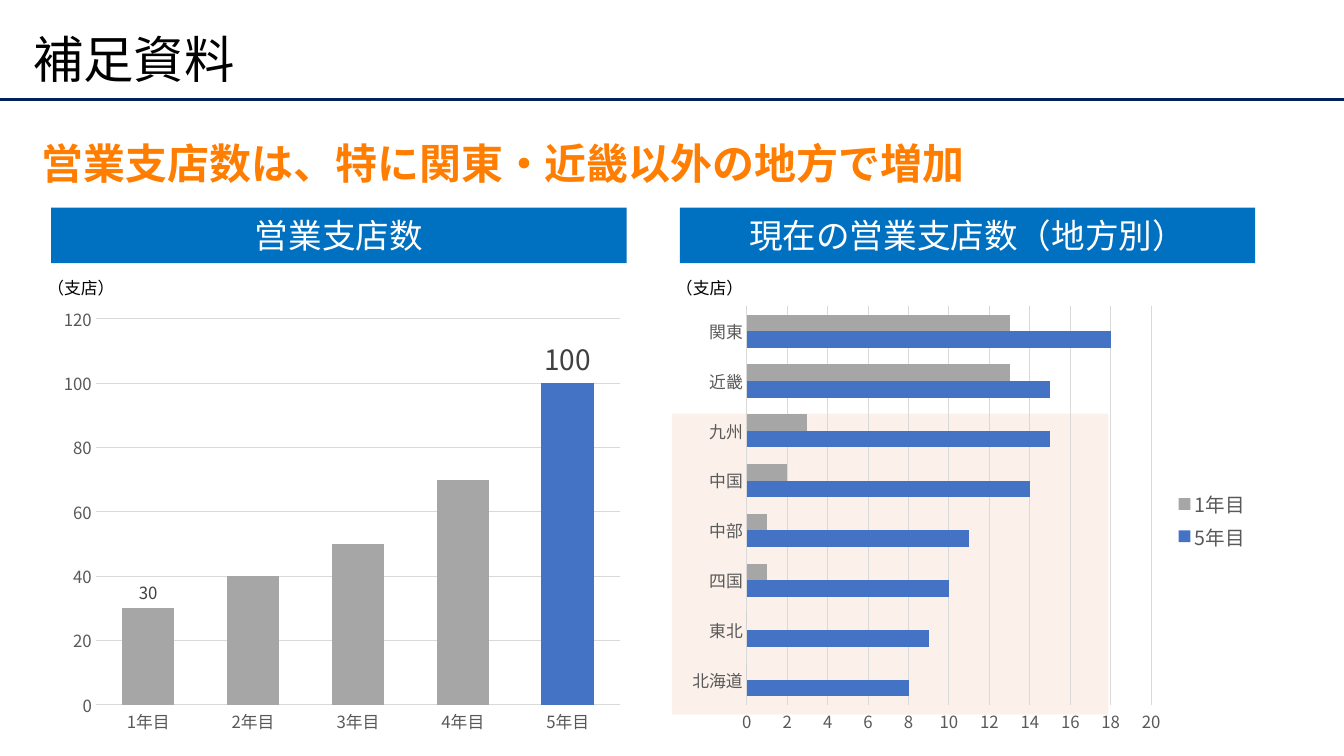
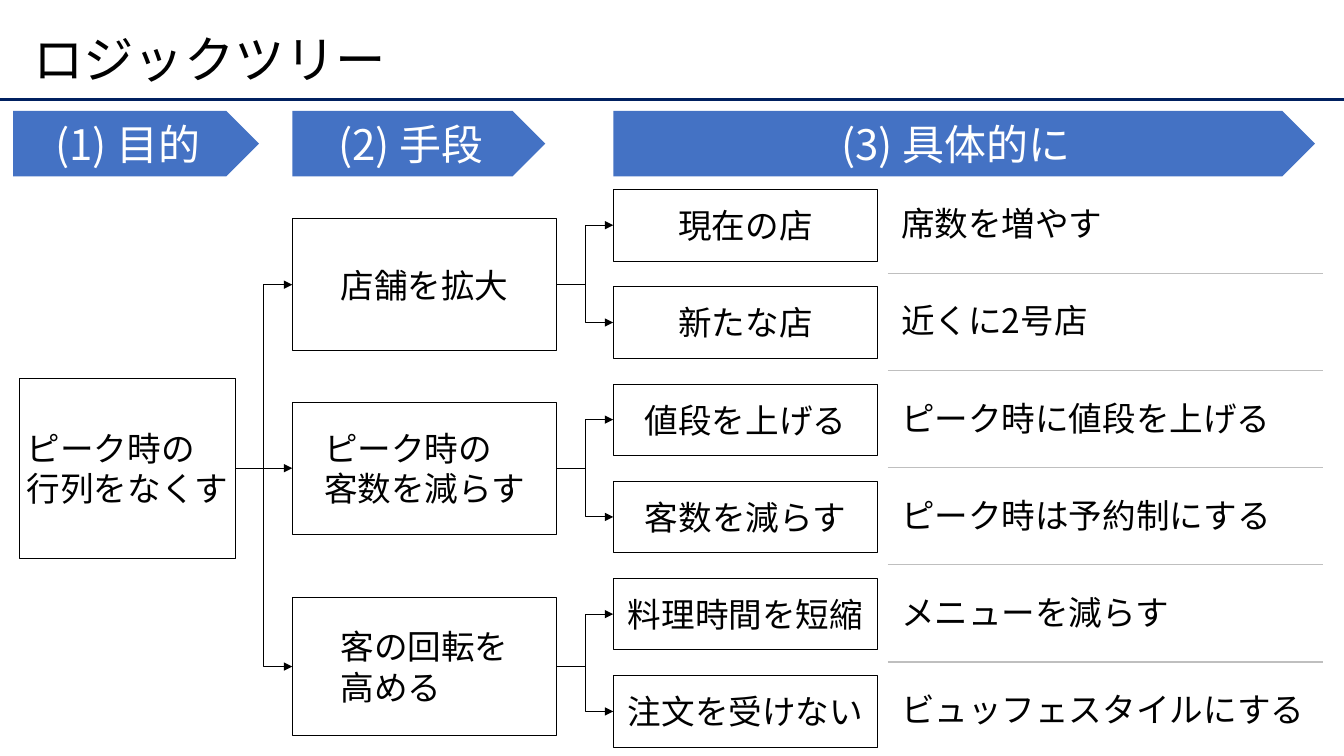
from dataclasses import dataclass, field
from typing import Optional

from lxml import etree
from pptx import Presentation
from pptx import util as u
from pptx.chart import data as chart_data
from pptx.dml import color
from pptx.enum import chart as charts, shapes, text
from pptx.oxml import ns


@dataclass(frozen=True)
class Theme:
    font: str = "Noto Sans CJK JP"
    ink: str = "000000"
    paper: str = "FFFFFF"
    navy: str = "002060"
    band: str = "0070C0"
    blue: str = "4472C4"
    gray: str = "A6A6A6"
    accent: str = "FF7D00"
    highlight: str = "FBE5D6"
    axis: str = "595959"
    label: str = "404040"
    grid: str = "D9D9D9"
    divider: str = "BFBFBF"
    title_size: int = 36
    message_size: int = 30
    body_size: int = 24
    value_size: int = 20
    legend_size: int = 14
    small_size: int = 12


@dataclass(frozen=True)
class Box:
    left: float
    top: float
    width: float
    height: float


@dataclass(frozen=True)
class Series:
    name: str
    values: tuple
    fill: str
    point_fills: dict = field(default_factory=dict)
    label_sizes: dict = field(default_factory=dict)


@dataclass(frozen=True)
class Panel:
    heading: str
    kind: charts.XL_CHART_TYPE
    categories: tuple
    series: tuple
    maximum: int
    step: int
    overlap: int
    legend: bool


@dataclass(frozen=True)
class Measure:
    lines: tuple
    top: float
    height: float
    details: tuple


THEME = Theme()
PANEL_LEFT, PANEL_PITCH = 37, 449
DETAIL_TOP, DETAIL_PITCH = 135.4, 69.45
MEANS_LEFT, DETAIL_LEFT, BOX_WIDTH = 208.8, 438, 189

PANELS = (
    Panel("営業支店数", charts.XL_CHART_TYPE.COLUMN_CLUSTERED,
          ("1年目", "2年目", "3年目", "4年目", "5年目"),
          (Series("営業支店数", (30, 40, 50, 70, 100), THEME.gray, {4: THEME.blue},
                  {0: THEME.small_size, 4: THEME.value_size}),),
          120, 20, -27, False),
    Panel("現在の営業支店数（地方別）", charts.XL_CHART_TYPE.BAR_CLUSTERED,
          ("北海道", "東北", "四国", "中部", "中国", "九州", "近畿", "関東"),
          (Series("5年目", (8, 9, 10, 11, 14, 15, 15, 18), THEME.blue),
           Series("1年目", (0, 0, 1, 1, 2, 3, 13, 13), THEME.gray)),
          20, 2, 0, True),
)
STAGES = (
    ("(1) 目的", 9.4, 175.7),
    ("(2) 手段", 208.8, 180.7),
    ("(3) 具体的に", 438.2, 501.1),
)
GOAL = ("ピーク時の", "行列をなくす")
MEASURES = (
    Measure(("店舗を拡大",), 156.2, 94.3,
            (("現在の店", "席数を増やす"), ("新たな店", "近くに2号店"))),
    Measure(("ピーク時の", "客数を減らす"), 287.3, 94.3,
            (("値段を上げる", "ピーク時に値段を上げる"),
             ("客数を減らす", "ピーク時は予約制にする"))),
    Measure(("客の回転を", "高める"), 426.8, 98.6,
            (("料理時間を短縮", "メニューを減らす"),
             ("注文を受けない", "ビュッフェスタイルにする"))),
)


def rgb(value: str) -> color.RGBColor:
    return color.RGBColor.from_string(value)


def style_font(font, size: float, ink: str, bold: bool = False) -> None:
    font.size = u.Pt(size)
    font.bold = bold
    font.color.rgb = rgb(ink)
    font.name = THEME.font
    etree.SubElement(font._rPr, ns.qn("a:ea")).set("typeface", THEME.font)


def write(frame, lines: tuple, size: float, ink: str, bold: bool = False,
          align=text.PP_ALIGN.LEFT, spacing: float = 1.0) -> None:
    for index, line in enumerate(lines):
        paragraph = frame.add_paragraph() if index else frame.paragraphs[0]
        paragraph.alignment = align
        paragraph.line_spacing = spacing
        run = paragraph.add_run()
        run.text = line
        style_font(run.font, size, ink, bold)


def add_text(slide, box: Box, line: str, size: float, ink: str = THEME.ink,
             bold: bool = False, spacing: float = 1.0,
             anchor=text.MSO_ANCHOR.TOP) -> None:
    frame = slide.shapes.add_textbox(
        u.Pt(box.left), u.Pt(box.top), u.Pt(box.width), u.Pt(box.height)).text_frame
    frame.word_wrap = True
    frame.vertical_anchor = anchor
    write(frame, (line,), size, ink, bold, spacing=spacing)


def add_block(slide, box: Box, fill: str, line: Optional[str] = None,
              preset=shapes.MSO_SHAPE.RECTANGLE):
    block = slide.shapes.add_shape(
        preset, u.Pt(box.left), u.Pt(box.top), u.Pt(box.width), u.Pt(box.height))
    block.shadow.inherit = False
    block.fill.solid()
    block.fill.fore_color.rgb = rgb(fill)
    if line:
        block.line.color.rgb = rgb(line)
        block.line.width = u.Pt(0.5)
    else:
        block.line.fill.background()
    return block


def add_banner(slide, box: Box, caption: str, fill: str, size: float,
               preset=shapes.MSO_SHAPE.RECTANGLE) -> None:
    banner = add_block(slide, box, fill, preset=preset)
    write(banner.text_frame, (caption,), size, THEME.paper, align=text.PP_ALIGN.CENTER)


def add_node(slide, box: Box, lines: tuple):
    node = add_block(slide, box, THEME.paper, THEME.ink)
    frame = node.text_frame
    frame.margin_left = frame.margin_right = u.Pt(3.6)
    frame.margin_top = frame.margin_bottom = u.Pt(5)
    frame.word_wrap = False
    frame._txBody.bodyPr.set("anchorCtr", "1")
    write(frame, lines, THEME.body_size, THEME.ink)
    return node


def add_line(slide, start: tuple, end: tuple, ink: str, width: float,
             kind=shapes.MSO_CONNECTOR.STRAIGHT):
    line = slide.shapes.add_connector(kind, *(u.Pt(value) for value in start + end))
    line.line.color.rgb = rgb(ink)
    line.line.width = u.Pt(width)
    etree.SubElement(line._element.spPr, ns.qn("a:effectLst"))
    return line


def link(slide, parent, child, kind=shapes.MSO_CONNECTOR.ELBOW) -> None:
    arrow = add_line(slide, (0, 0), (0, 0), THEME.ink, 0.75, kind)
    arrow.begin_connect(parent, 3)
    arrow.end_connect(child, 1)
    tail = etree.Element(ns.qn("a:tailEnd"))
    tail.set("type", "triangle")
    arrow.line._get_or_add_ln().append(tail)


def clear_background(chart) -> None:
    area = chart._chartSpace.find(ns.qn("c:chart"))
    for place in (area.addnext, area.find(ns.qn("c:plotArea")).append):
        properties = etree.Element(ns.qn("c:spPr"))
        etree.SubElement(properties, ns.qn("a:noFill"))
        border = etree.SubElement(properties, ns.qn("a:ln"))
        etree.SubElement(border, ns.qn("a:noFill"))
        place(properties)


def style_axes(chart, panel: Panel) -> None:
    for axis in (chart.category_axis, chart.value_axis):
        axis.major_tick_mark = axis.minor_tick_mark = charts.XL_TICK_MARK.NONE
        style_font(axis.tick_labels.font, THEME.small_size, THEME.axis)
    counts = chart.value_axis
    counts.minimum_scale, counts.maximum_scale = 0, panel.maximum
    counts.major_unit = panel.step
    counts.tick_labels.number_format = "#,##0"
    counts.tick_labels.number_format_is_linked = False
    counts.format.line.fill.background()
    for line in (counts.major_gridlines.format.line, chart.category_axis.format.line):
        line.color.rgb = rgb(THEME.grid)
        line.width = u.Pt(0.75)


def style_series(drawn, series: Series) -> None:
    drawn.invert_if_negative = False
    drawn.format.fill.solid()
    drawn.format.fill.fore_color.rgb = rgb(series.fill)
    for index, fill in series.point_fills.items():
        point_fill = drawn.points[index].format.fill
        point_fill.solid()
        point_fill.fore_color.rgb = rgb(fill)
    if series.label_sizes:
        drawn.data_labels.show_value = False
    for index, size in series.label_sizes.items():
        label = drawn.points[index].data_label
        style_font(label.font, size, THEME.label)
        label.position = charts.XL_LABEL_POSITION.OUTSIDE_END


def add_panel(slide, panel: Panel, left: float) -> None:
    figures = chart_data.CategoryChartData()
    figures.categories = panel.categories
    for series in panel.series:
        figures.add_series(series.name, series.values)
    chart = slide.shapes.add_chart(
        panel.kind, u.Pt(left + 0.3), u.Pt(212.4), u.Pt(414), u.Pt(318.2), figures).chart
    style_font(chart.font, 10, THEME.ink)
    chart.has_title = False
    chart.has_legend = panel.legend
    if panel.legend:
        chart.legend.position = charts.XL_LEGEND_POSITION.RIGHT
        chart.legend.include_in_layout = False
        style_font(chart.legend.font, THEME.legend_size, THEME.axis)
    plot = chart.plots[0]
    plot.gap_width, plot.overlap = 100, panel.overlap
    plot.vary_by_categories = False
    style_axes(chart, panel)
    for drawn, series in zip(plot.series, panel.series):
        style_series(drawn, series)
    clear_background(chart)
    add_banner(slide, Box(left - 0.4, 148.3, 411, 39.6), panel.heading,
               THEME.band, THEME.body_size)
    add_text(slide, Box(left - 10.2, 195.1, 80, 21.6), "（支店）", THEME.small_size)


def add_page(deck, title: str):
    slide = deck.slides.add_slide(deck.slide_layouts[6])
    add_line(slide, (0, 71.3), (960, 71.3), THEME.navy, 2.25)
    add_text(slide, Box(16.6, 14.4, 907.2, 60.5), title, THEME.title_size,
             spacing=0.9, anchor=text.MSO_ANCHOR.MIDDLE)
    return slide


def build_branches(deck) -> None:
    slide = add_page(deck, "補足資料")
    growth = add_block(slide, Box(480, 295.4, 311.8, 215), THEME.highlight)
    tint = growth.fill._xPr.find(ns.qn("a:solidFill"))[0]
    etree.SubElement(tint, ns.qn("a:alpha")).set("val", "50000")
    for index, panel in enumerate(PANELS):
        add_panel(slide, panel, PANEL_LEFT + index * PANEL_PITCH)
    add_text(slide, Box(22.3, 77, 901.4, 56.9), "営業支店数は、特に関東・近畿以外の地方で増加",
             THEME.message_size, THEME.accent, bold=True, spacing=1.5)


def build_tree(deck) -> None:
    slide = add_page(deck, "ロジックツリー")
    for caption, left, width in STAGES:
        add_banner(slide, Box(left, 79.2, width, 46.8), caption, THEME.blue,
                   THEME.message_size, shapes.MSO_SHAPE.PENTAGON)
    goal = add_node(slide, Box(13.9, 270, 154.4, 128.9), GOAL)
    row = 0
    for measure in MEASURES:
        means = add_node(
            slide, Box(MEANS_LEFT, measure.top, BOX_WIDTH, measure.height), measure.lines)
        level = abs(means.top + means.height / 2 - goal.top - goal.height / 2) < u.Pt(1)
        link(slide, goal, means,
             shapes.MSO_CONNECTOR.STRAIGHT if level else shapes.MSO_CONNECTOR.ELBOW)
        for detail, action in measure.details:
            top = DETAIL_TOP + row * DETAIL_PITCH
            if row:
                add_line(slide, (634.3, top - 9.8), (944.7, top - 9.8), THEME.divider, 0.75)
            link(slide, means,
                 add_node(slide, Box(DETAIL_LEFT, top, BOX_WIDTH, 51), (detail,)))
            add_text(slide, Box(636.5, top + 6.2, 310.3, 36), action, THEME.body_size)
            row += 1


def main() -> None:
    deck = Presentation()
    deck.slide_width, deck.slide_height = u.Pt(960), u.Pt(540)
    build_branches(deck)
    build_tree(deck)
    deck.save("out.pptx")


if __name__ == "__main__":
    main()
